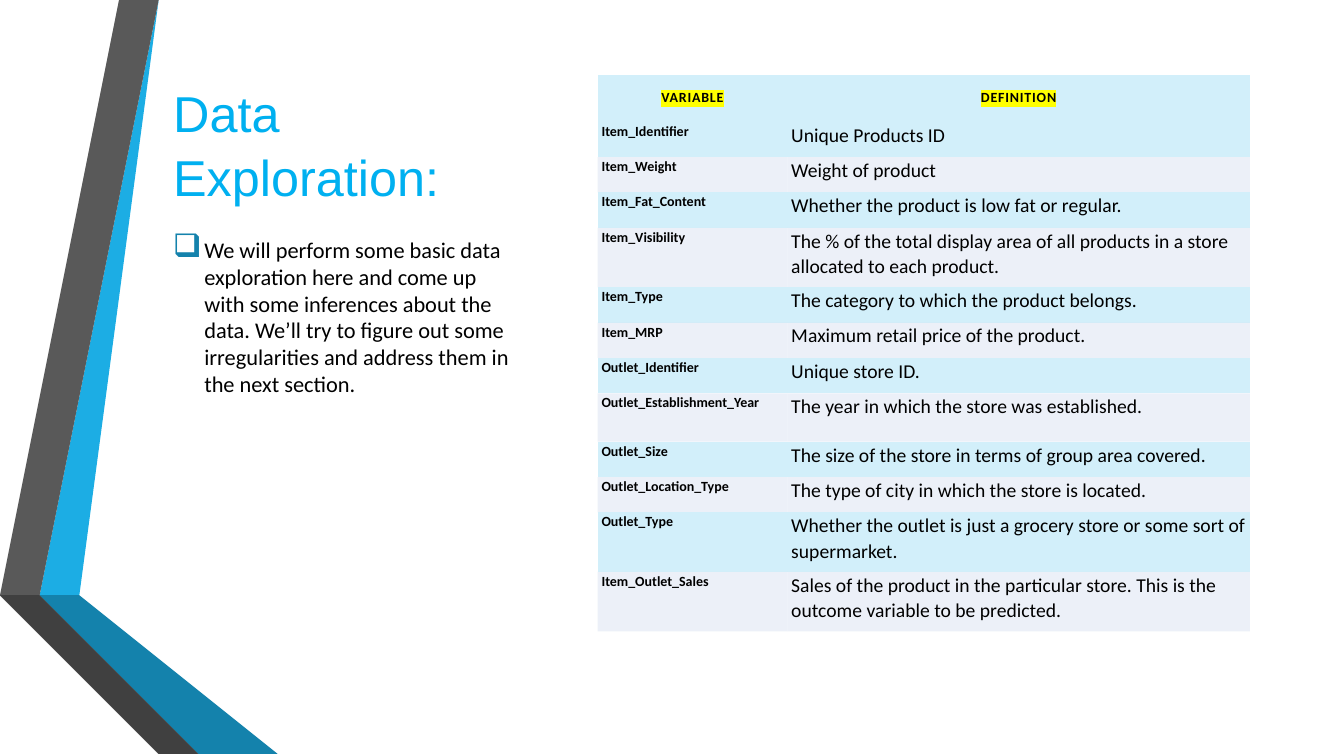
from lxml import etree
from pptx import Presentation
from pptx import util as u
from pptx.dml.color import RGBColor
from pptx.enum import text
from pptx.oxml import ns

BLACK = RGBColor(0x00, 0x00, 0x00)
TITLE_BLUE = RGBColor(0x00, 0xB0, 0xF0)
BLUE = RGBColor(0x1C, 0xAD, 0xE4)
FOLD_BLUE = RGBColor(0x14, 0x82, 0xAC)
EDGE_BLUE = RGBColor(0x0E, 0x57, 0x72)
GREY = RGBColor(0x59, 0x59, 0x59)
FOLD_GREY = RGBColor(0x40, 0x40, 0x40)
EDGE_GREY = RGBColor(0x26, 0x26, 0x26)
PALE_BLUE = RGBColor(0xD2, 0xEF, 0xFA)
PALE_LILAC = RGBColor(0xDA, 0xE3, 0xF3)
YELLOW = RGBColor(0xFF, 0xFF, 0x00)

# Content
TITLE = "Data Exploration:"
INTRO = ("We will perform some basic data exploration here and come up with some "
         "inferences about the data. We’ll try to figure out some irregularities "
         "and address them in the next section.")
HEADINGS = ("VARIABLE", "DEFINITION")
ONE_LINE, TALL, TWO_LINES = 0.89, 1.22, 1.5  # row heights in cm
VARIABLES = [
    ("Item_Identifier", "Unique Products ID", ONE_LINE),
    ("Item_Weight", "Weight of product", ONE_LINE),
    ("Item_Fat_Content", "Whether the product is low fat or regular.", ONE_LINE),
    ("Item_Visibility", "The % of the total display area of all products in a store "
     "allocated to each product.", TWO_LINES),
    ("Item_Type", "The category to which the product belongs.", ONE_LINE),
    ("Item_MRP", "Maximum retail price of the product.", ONE_LINE),
    ("Outlet_Identifier", "Unique store ID.", ONE_LINE),
    ("Outlet_Establishment_Year", "The year in which the store was established.", TALL),
    ("Outlet_Size", "The size of the store in terms of group area covered.", ONE_LINE),
    ("Outlet_Location_Type", "The type of city in which the store is located.", ONE_LINE),
    ("Outlet_Type", "Whether the outlet is just a grocery store or some sort "
     "of supermarket.", TWO_LINES),
    ("Item_Outlet_Sales", "Sales of the product in the particular store. This is the "
     "outcome variable to be predicted.", TWO_LINES),
]
HEADER_HEIGHT = 1.17
COLUMN_WIDTHS = (4.78, 11.66)
BOTTOM = 19.05

# Ribbon outlines in cm, from back to front
RIBBONS = [
    (BLUE, [(1.27, 14.68), (1.96, 14.81), (4.39, 0), (3.68, 0)]),
    (GREY, [(3.53, 0), (2.82, 0), (0.41, 14.55), (1.12, 14.66)]),
    (EDGE_GREY, [(0.41, 14.55), (3.68, BOTTOM), (3.84, BOTTOM)]),
    (EDGE_BLUE, [(1.27, 14.71), (5.28, BOTTOM), (5.44, BOTTOM)]),
    (FOLD_BLUE, [(1.27, 14.71), (5.44, BOTTOM), (7.19, BOTTOM), (1.96, 14.81),
                 (1.27, 14.68)]),
    (FOLD_GREY, [(5.13, BOTTOM), (1.22, 14.83), (1.09, 14.68), (1.12, 14.66),
                 (0.41, 14.55), (3.84, BOTTOM)]),
]


def add_run(paragraph, words, size, font="Calibri", color=BLACK, bold=False):
    run = paragraph.add_run()
    run.text = words
    run.font.size, run.font.name, run.font.bold = u.Pt(size), font, bold
    run.font.color.rgb = color
    return run


def add_color(parent, color):
    etree.SubElement(parent, ns.qn("a:srgbClr"), val=str(color))


def highlight(run):
    properties = run.font.fill._xPr
    properties.set("spc", "60")
    marker = etree.Element(ns.qn("a:highlight"))
    add_color(marker, YELLOW)
    properties.find(ns.qn("a:solidFill")).addnext(marker)


def add_bullet(paragraph):
    properties = paragraph._p.get_or_add_pPr()
    indent = u.Cm(0.79)
    properties.set("marL", str(indent))
    properties.set("indent", str(-indent))
    add_color(etree.SubElement(properties, ns.qn("a:buClr")), FOLD_BLUE)
    etree.SubElement(properties, ns.qn("a:buSzPct"), val="145000")
    etree.SubElement(properties, ns.qn("a:buChar"), char="❑")


def fill_cell(cell, words, size, bold, color, insets):
    cell.fill.solid()
    cell.fill.fore_color.rgb = color
    if color == PALE_LILAC:
        tint = cell._tc.tcPr.find(".//" + ns.qn("a:srgbClr"))
        etree.SubElement(tint, ns.qn("a:alpha"), val="50000")
    (cell.margin_left, cell.margin_top,
     cell.margin_right, cell.margin_bottom) = map(u.Cm, insets)
    paragraph = cell.text_frame.paragraphs[0]
    paragraph.line_spacing = 1.07
    paragraph.space_after = u.Pt(8)
    return paragraph, add_run(paragraph, words, size, bold=bold)


prs = Presentation()
prs.slide_width, prs.slide_height = u.Cm(33.87), u.Cm(BOTTOM)
slide = prs.slides.add_slide(prs.slide_layouts[5])

# Ribbons on the left
for color, outline in RIBBONS:
    builder = slide.shapes.build_freeform(*outline[0], scale=u.Cm(1))
    builder.add_line_segments(outline[1:], close=True)
    ribbon = builder.convert_to_shape()
    ribbon.shadow.inherit = False
    ribbon.fill.solid()
    ribbon.fill.fore_color.rgb = color
    ribbon.line.fill.background()

# Title
title = slide.shapes.title
title.left, title.top, title.width, title.height = map(u.Cm, (4.11, 1.5, 9.27, 4.19))
title.text_frame.word_wrap = True
title.text_frame.auto_size = text.MSO_AUTO_SIZE.NONE
title.text_frame.vertical_anchor = text.MSO_ANCHOR.MIDDLE
heading = title.text_frame.paragraphs[0]
heading.alignment = text.PP_ALIGN.LEFT
heading.line_spacing = 1.06
add_run(heading, TITLE, 36, "Arial", TITLE_BLUE)

# Introduction
intro_box = slide.shapes.add_textbox(*map(u.Cm, (4.11, 5.82, 9.27, 10.26)))
intro_box.text_frame.word_wrap = True
intro = intro_box.text_frame.paragraphs[0]
intro.space_before, intro.space_after = u.Pt(3.2), u.Pt(6)
add_bullet(intro)
add_run(intro, INTRO, 16)

# Table of variables
heights = [HEADER_HEIGHT] + [height for _, _, height in VARIABLES]
frame = slide.shapes.add_table(len(heights), len(COLUMN_WIDTHS), u.Cm(15.06), u.Cm(1.9),
                               u.Cm(sum(COLUMN_WIDTHS)), u.Cm(sum(heights)))
variables = frame.table
variables.first_row = variables.horz_banding = False
style = variables._tbl.tblPr.find(ns.qn("a:tableStyleId"))
style.text = "{2D5ABB26-0587-4C30-8999-92F81FD0307C}"  # no style, no grid
for column, width in zip(variables.columns, COLUMN_WIDTHS):
    column.width = u.Cm(width)
for row, height in zip(variables.rows, heights):
    row.height = u.Cm(height)

for col, words in enumerate(HEADINGS):
    paragraph, run = fill_cell(variables.cell(0, col), words, 10, True, PALE_BLUE, [0.33] * 4)
    paragraph.alignment = text.PP_ALIGN.CENTER
    highlight(run)
for row, (name, definition, _) in enumerate(VARIABLES, 1):
    color = PALE_BLUE if row % 2 else PALE_LILAC
    for col, (words, size, bold) in enumerate([(name, 10, True), (definition, 14, False)]):
        fill_cell(variables.cell(row, col), words, size, bold, color, (0.1, 0, 0.1, 0.23))

prs.save("out.pptx")
